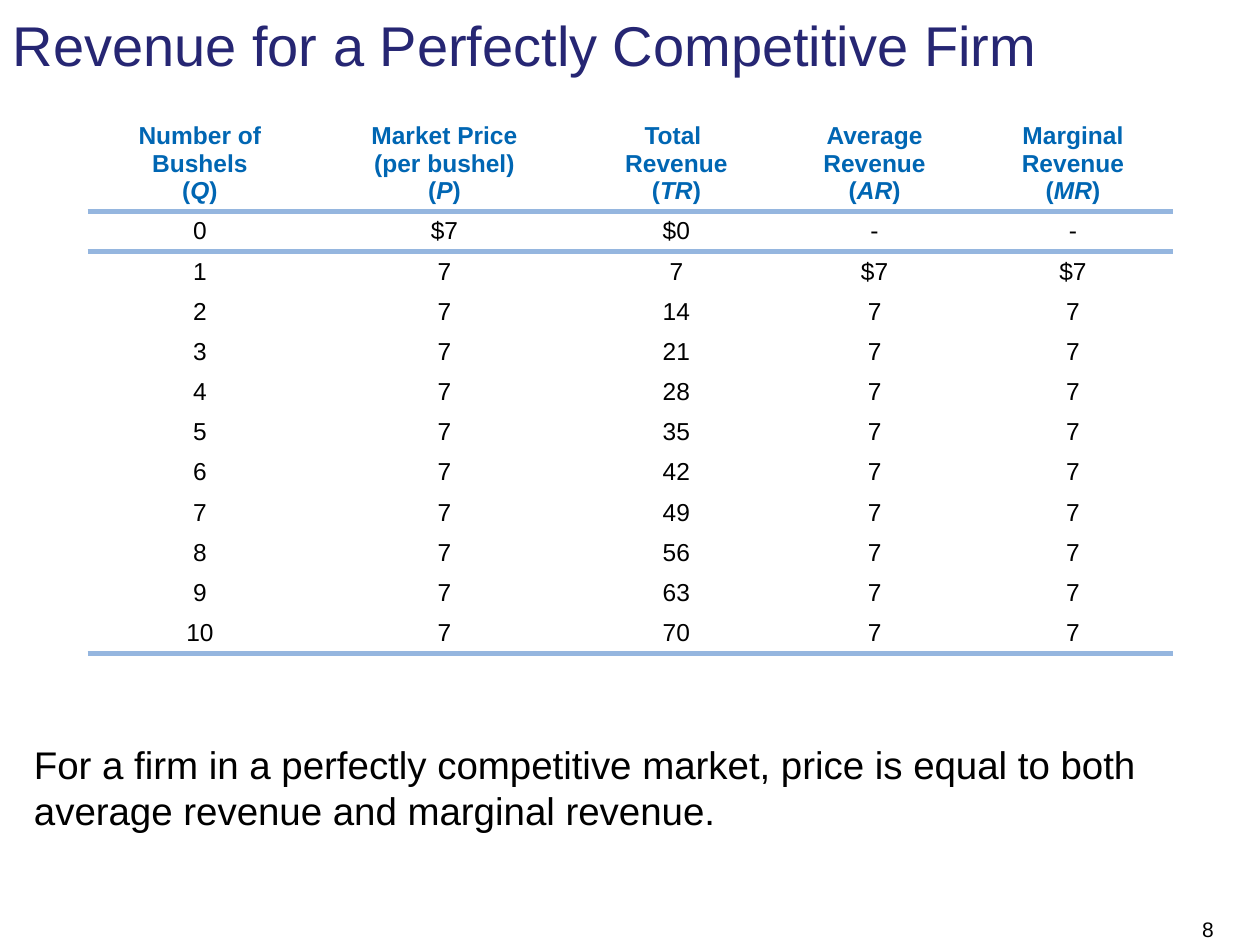
from lxml.etree import SubElement
from pptx import Presentation
from pptx.dml.color import RGBColor
from pptx.enum.shapes import MSO_SHAPE
from pptx.enum.text import MSO_ANCHOR, MSO_AUTO_SIZE, PP_ALIGN
from pptx.oxml import parse_xml
from pptx.oxml.ns import nsdecls, qn
from pptx.util import Cm, Pt

COLORS = {
    "title": "262673",
    "text": "000000",
    "header": "0066B3",
    "rule": "95B6DF",
    "background": "FFFFFF",
}

# Header lines and the symbol shown in parentheses below them
HEADERS = [
    (["Number of Bushels"], "Q"),
    (["Market Price", "(per bushel)"], "P"),
    (["Total ", "Revenue"], "TR"),
    (["Average Revenue"], "AR"),
    (["Marginal Revenue"], "MR"),
]
COLUMN_WIDTHS = [4.5, 5.36, 3.99, 4.0, 4.0]
HEADER_HEIGHT, ROW_HEIGHT = 1.9, 0.8
PRICE, LAST_QUANTITY = 7, 10


def place(shape, left, top, width, height):
    position = {"left": left, "top": top, "width": width, "height": height}
    for name, value in position.items():
        setattr(shape, name, Cm(value))


def add_run(paragraph, text, size, color, **formats):
    run = paragraph.add_run()
    run.text = text
    for name, value in {"name": "Arial", "size": Pt(size), **formats}.items():
        setattr(run.font, name, value)
    run.font.color.rgb = RGBColor.from_string(COLORS[color])


def format_frame(shape, anchor):
    frame_format = {
        "word_wrap": True,
        "auto_size": MSO_AUTO_SIZE.NONE,
        "vertical_anchor": anchor,
    }
    for name, value in frame_format.items():
        setattr(shape.text_frame, name, value)
    return shape.text_frame.paragraphs[0]


def fill_title(slide):
    title = slide.shapes.title
    place(title, 0, 0, 25.4, 1.78)
    paragraph = format_frame(title, MSO_ANCHOR.MIDDLE)
    paragraph.alignment = PP_ALIGN.LEFT
    add_run(paragraph, "Revenue for a Perfectly Competitive Firm", 32, "title")


def fill_body(slide):
    body = slide.placeholders[1]
    place(body, 0.43, 14.81, 23.06, 3.18)
    paragraph = format_frame(body, MSO_ANCHOR.TOP)
    paragraph.alignment = PP_ALIGN.LEFT
    paragraph.space_before = Pt(6)
    properties = paragraph._p.get_or_add_pPr()
    for name in ("marL", "indent"):
        properties.set(name, "0")
    SubElement(properties, qn("a:buNone"))
    add_run(paragraph, "For a firm in a perfectly competitive market, price is equal "
            "to both average revenue and marginal revenue.", 22, "text")


def add_page_number(slide, number):
    box = slide.shapes.add_shape(
        MSO_SHAPE.RECTANGLE, Cm(23.29), Cm(18.42), Cm(2.11), Cm(0.63))
    box.shadow.inherit = False
    box.fill.solid()
    box.fill.fore_color.rgb = RGBColor.from_string(COLORS["background"])
    box.line.fill.background()
    paragraph = format_frame(box, MSO_ANCHOR.MIDDLE)
    box.text_frame.margin_right = Cm(0.93)
    paragraph.alignment = PP_ALIGN.RIGHT
    add_run(paragraph, str(number), 12, "text")


def add_border(cell, side):
    border = parse_xml(
        f'<a:{side} {nsdecls("a")} w="{Pt(3)}"><a:solidFill>'
        f'<a:srgbClr val="{COLORS["rule"]}"/></a:solidFill></a:{side}>')
    cell._tc.get_or_add_tcPr().insert(0, border)


def fill_header(cell, lines, symbol):
    cell.vertical_anchor = MSO_ANCHOR.BOTTOM
    name = cell.text_frame.paragraphs[0]
    for index, line in enumerate(lines):
        if index:
            name.add_line_break()
        add_run(name, line, 14, "header", bold=True)
    label = cell.text_frame.add_paragraph()
    for text in ("(", symbol, ")"):
        add_run(label, text, 14, "header", bold=True, italic=text == symbol)
    for paragraph in (name, label):
        paragraph.alignment = PP_ALIGN.CENTER


def fill_value(cell, text):
    paragraph = cell.text_frame.paragraphs[0]
    paragraph.alignment = PP_ALIGN.CENTER
    add_run(paragraph, text, 14, "text", bold=False)


def revenue_row(quantity):
    # The first amount in each column carries the dollar sign
    price = f"${PRICE}" if quantity == 0 else str(PRICE)
    total = f"${PRICE * quantity}" if quantity == 0 else str(PRICE * quantity)
    per_unit = {0: "-", 1: f"${PRICE}"}.get(quantity, str(PRICE))
    return [str(quantity), price, total, per_unit, per_unit]


def add_revenue_table(slide):
    rows = [revenue_row(quantity) for quantity in range(LAST_QUANTITY + 1)]
    height = HEADER_HEIGHT + len(rows) * ROW_HEIGHT
    table = slide.shapes.add_table(
        len(rows) + 1, len(HEADERS), Cm(1.78), Cm(2.34),
        Cm(sum(COLUMN_WIDTHS)), Cm(height)).table
    table.first_row = table.horz_banding = False
    for column, width in zip(table.columns, COLUMN_WIDTHS):
        column.width = Cm(width)
    for index, row in enumerate(table.rows):
        row.height = Cm(ROW_HEIGHT if index else HEADER_HEIGHT)
        for cell in row.cells:
            cell.fill.background()

    # Contents
    for column, (lines, symbol) in enumerate(HEADERS):
        fill_header(table.cell(0, column), lines, symbol)
    for index, values in enumerate(rows, start=1):
        for column, text in enumerate(values):
            fill_value(table.cell(index, column), text)

    # Rules below the header and below the last row
    for index, side in ((0, "lnB"), (1, "lnT"), (len(rows), "lnB")):
        for cell in table.rows[index].cells:
            add_border(cell, side)


def main():
    presentation = Presentation()
    presentation.slide_width, presentation.slide_height = Cm(25.4), Cm(19.05)
    slide = presentation.slides.add_slide(presentation.slide_layouts[1])
    fill_title(slide)
    fill_body(slide)
    add_revenue_table(slide)
    add_page_number(slide, 8)
    presentation.save("out.pptx")


if __name__ == "__main__":
    main()
